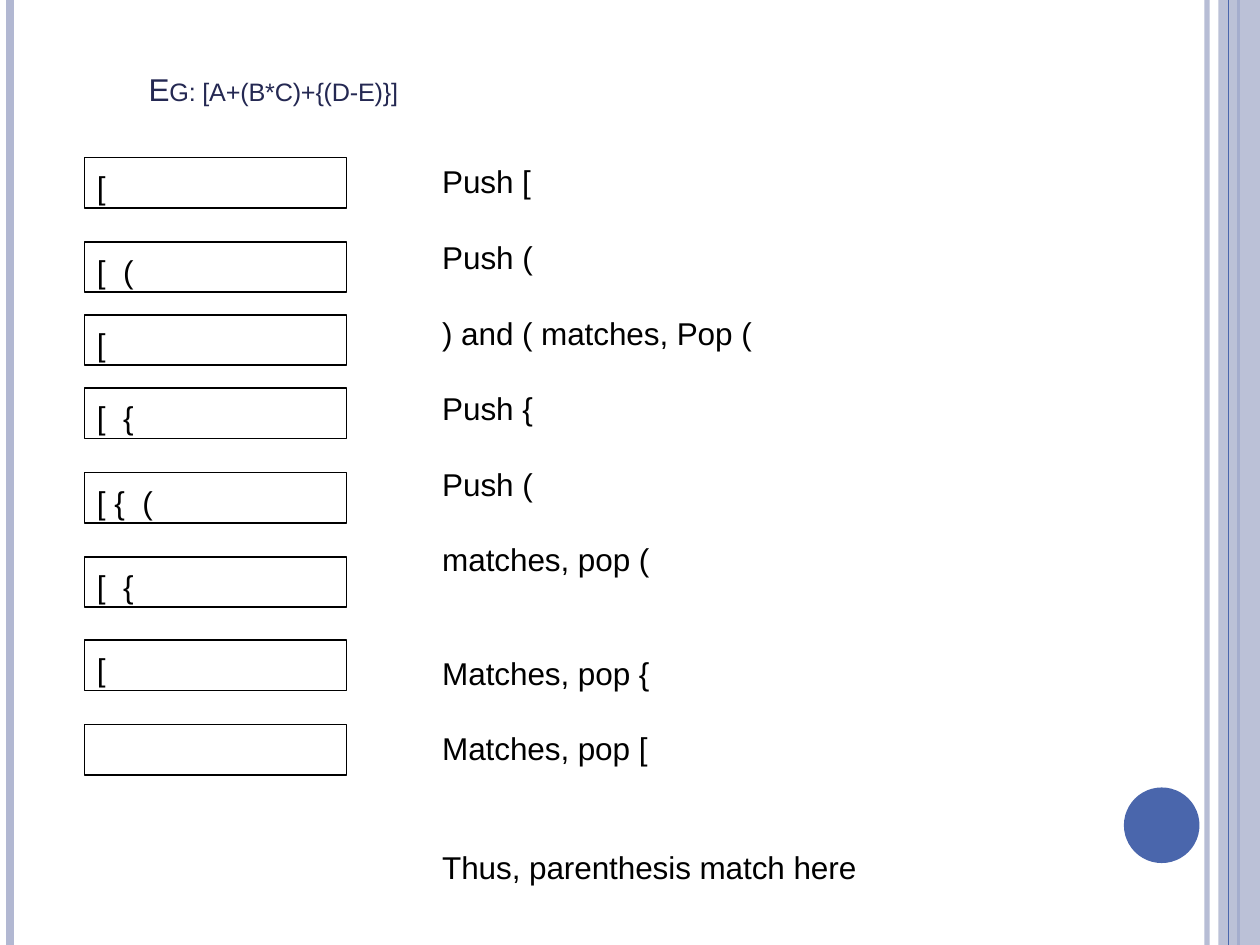
from pptx import Presentation
from pptx.dml.color import RGBColor
from pptx.enum.shapes import MSO_CONNECTOR, MSO_SHAPE
from pptx.enum.text import MSO_ANCHOR, MSO_AUTO_SIZE, PP_ALIGN
from pptx.oxml.ns import qn
from pptx.util import Inches, Pt
from lxml import etree

BLACK = RGBColor(0x00, 0x00, 0x00)
NAVY = RGBColor(0x24, 0x28, 0x52)
BLUE = RGBColor(0x4A, 0x66, 0xAC)
LILAC = RGBColor(0xB2, 0xB8, 0xD2)
RECTANGLE, OVAL = MSO_SHAPE.RECTANGLE, MSO_SHAPE.OVAL
STRAIGHT = MSO_CONNECTOR.STRAIGHT
LEFT = PP_ALIGN.LEFT
TOP, BOTTOM = MSO_ANCHOR.TOP, MSO_ANCHOR.BOTTOM
TITLE_ONLY = 5

STACK_STATES = [
    (1.25, "["), (1.92, "[ ("), (2.5, "["), (3.08, "[ {"),
    (3.75, "[ { ("), (4.42, "[ {"), (5.08, "["), (5.75, ""),
]
STEPS = [
    (1.28, 0.73, ["Push ["]),
    (1.88, 0.75, ["Push ("]),
    (2.48, 2.5, [") and ( matches, Pop ("]),
    (3.08, 0.75, ["Push {"]),
    (3.68, 0.75, ["Push ("]),
    (4.28, 1.68, ["matches, pop ("]),
    (5.18, 1.68, ["Matches, pop {"]),
    (5.78, 3.4, ["Matches, pop [", "Thus, parenthesis match here"]),
]


class SlideBuilder:
    def __init__(self, slide, font="Arial", size=18):
        self.slide = slide
        self.font = font
        self.size = size

    def set_alpha(self, element, percent):
        color = element.find(".//" + qn("a:srgbClr"))
        etree.SubElement(color, qn("a:alpha")).set("val", str(percent * 1000))

    def format_run(self, run, color=BLACK, spacing=0):
        """Spacing between letters is in hundredths of a point."""
        run.font.name = self.font
        run.font.size = Pt(self.size)
        run.font.color.rgb = color
        run.font.bold = False
        run.font._element.set("spc", str(spacing))

    def prepare_frame(self, text_frame, left, top, anchor=TOP):
        text_frame.word_wrap = True
        text_frame.auto_size = MSO_AUTO_SIZE.NONE
        text_frame.vertical_anchor = anchor
        text_frame.margin_left, text_frame.margin_top = Inches(left), Inches(top)
        text_frame.margin_right = text_frame.margin_bottom = 0

    def add_vertical_line(self, x, width, color, alpha=None):
        line = self.slide.shapes.add_connector(
            STRAIGHT, Inches(x), 0, Inches(x), Inches(7.5))
        line.line.color.rgb = color
        line.line.width = Pt(width)
        properties = line._element.spPr
        if alpha:
            self.set_alpha(properties, alpha)
        etree.SubElement(properties, qn("a:effectLst"))

    def add_shape(self, kind, left, top, width, height, fill=None, alpha=None):
        shape = self.slide.shapes.add_shape(
            kind, Inches(left), Inches(top), Inches(width), Inches(height))
        shape.shadow.inherit = False
        if fill is None:
            shape.fill.background()
            shape.line.color.rgb = BLACK
            shape.line.width = Pt(1)
        else:
            shape.fill.solid()
            shape.fill.fore_color.rgb = fill
            shape.line.fill.background()
        if alpha:
            self.set_alpha(shape._element.spPr, alpha)
        return shape

    def set_title(self, text):
        title = self.slide.shapes.title
        title.left, title.top = Inches(1.17), Inches(0.53)
        title.width, title.height = Inches(2.26), Inches(0.33)
        title.text_frame.text = text
        self.prepare_frame(title.text_frame, 0.01, 0.01, BOTTOM)
        paragraph = title.text_frame.paragraphs[0]
        paragraph.alignment = LEFT
        run = paragraph.runs[0]
        self.format_run(run, NAVY, -10)
        run.font._element.set("cap", "small")

    def add_stack(self, top, symbols):
        """Draw one stack state, with a wide gap before its top symbol."""
        shape = self.add_shape(RECTANGLE, 0.67, top, 2.08, 0.4)
        self.prepare_frame(shape.text_frame, 0.1, 0.08)
        paragraph = shape.text_frame.paragraphs[0]
        paragraph.alignment = LEFT
        lower, gap, upper = symbols.rpartition(" ")
        for text, spacing in ((lower, 0), (gap, 500), (upper, 0)):
            if text:
                run = paragraph.add_run()
                run.text = text
                self.format_run(run, spacing=spacing)

    def add_step(self, top, width, lines):
        height = 0.33 + 0.9 * (len(lines) - 1)
        box = self.slide.shapes.add_textbox(
            Inches(3.5), Inches(top), Inches(width), Inches(height))
        box.text_frame.text = "\n".join(lines)
        self.prepare_frame(box.text_frame, 0.01, 0.01)
        for index, paragraph in enumerate(box.text_frame.paragraphs):
            paragraph.space_before = Pt(46 if index else 1)
            self.format_run(paragraph.runs[0], spacing=-5)


def main():
    presentation = Presentation()
    presentation.slide_width, presentation.slide_height = Inches(10), Inches(7.5)
    slide = presentation.slides.add_slide(presentation.slide_layouts[TITLE_ONLY])
    builder = SlideBuilder(slide)

    builder.add_vertical_line(9.58, 3, LILAC, alpha=93)
    builder.add_vertical_line(0.08, 4.5, LILAC)
    builder.add_vertical_line(9.83, 1.5, BLUE)
    builder.add_shape(RECTANGLE, 9.67, 0, 0.33, 7.5, LILAC, alpha=87)
    builder.add_vertical_line(9.75, 0.75, BLUE)
    builder.add_shape(OVAL, 8.92, 6.25, 0.6, 0.6, BLUE)

    builder.set_title("Eg: [a+(b*c)+{(d-e)}]")
    for top, symbols in STACK_STATES:
        builder.add_stack(top, symbols)
    for top, width, lines in STEPS:
        builder.add_step(top, width, lines)
    presentation.save("out.pptx")


if __name__ == "__main__":
    main()
